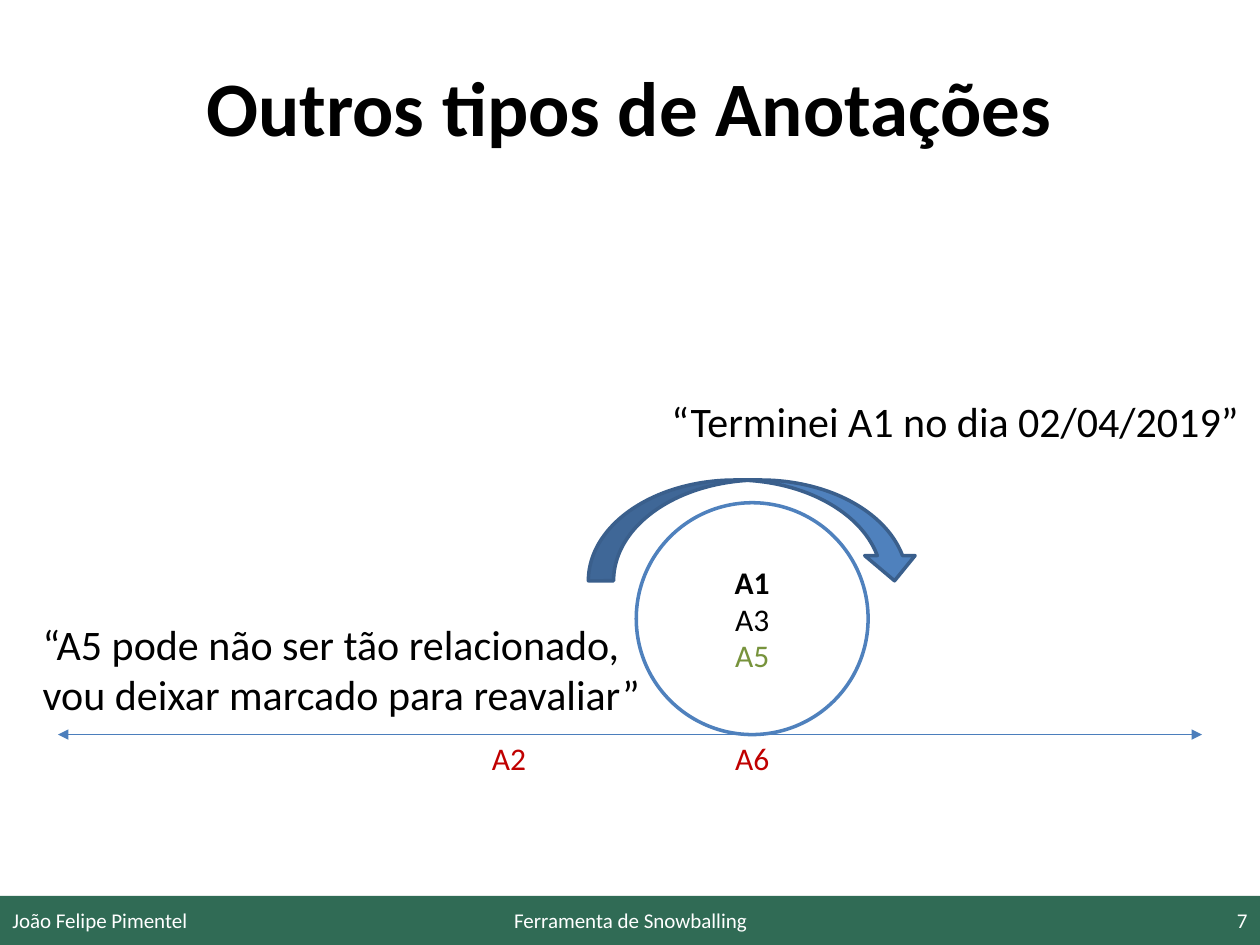
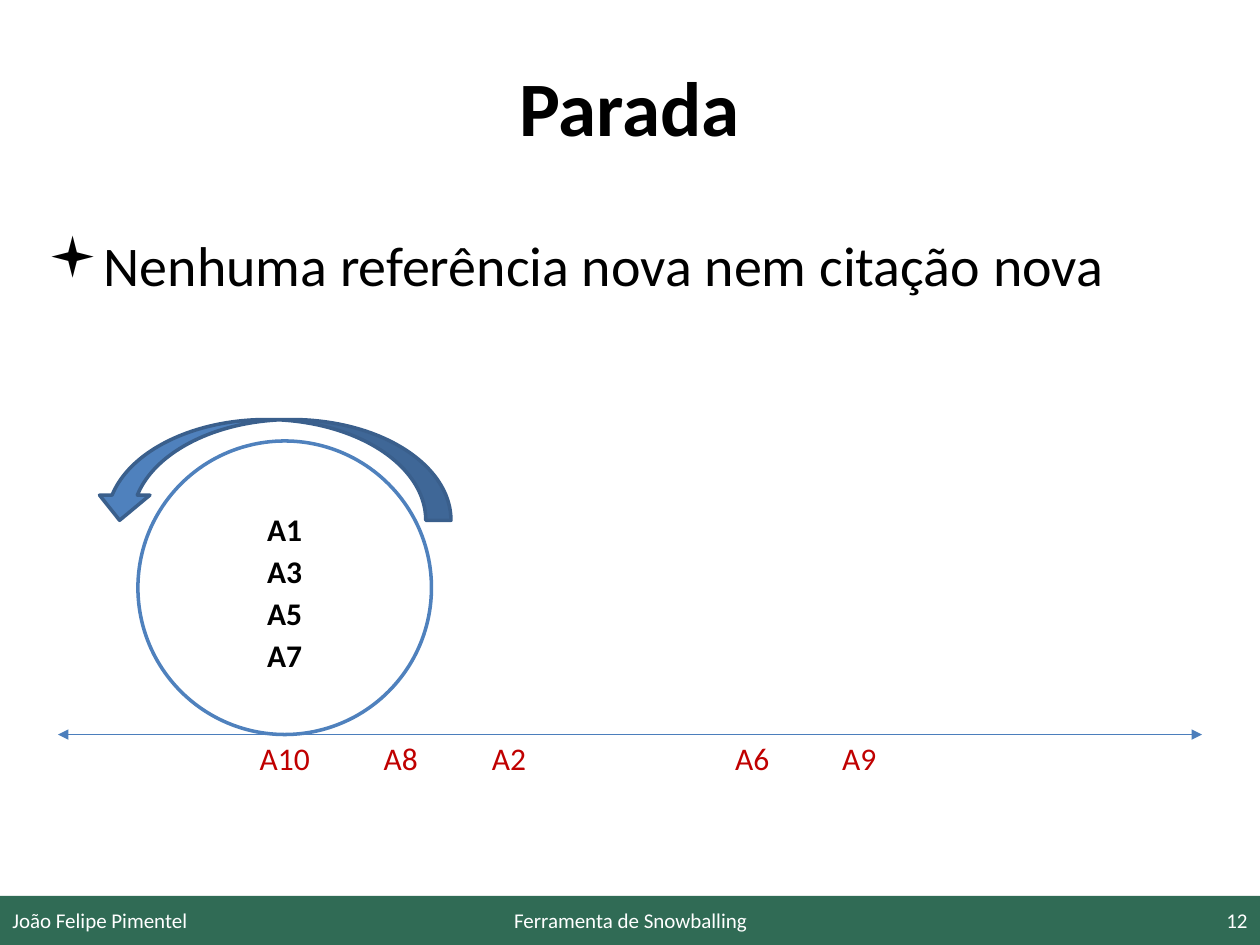
from lxml import etree
from pptx import Presentation
from pptx.dml.color import RGBColor
from pptx.enum.shapes import MSO_CONNECTOR, MSO_SHAPE
from pptx.enum.text import MSO_ANCHOR, PP_ALIGN
from pptx.oxml.ns import qn
from pptx.util import Inches, Pt

LEFT, CENTER, RIGHT = PP_ALIGN.LEFT, PP_ALIGN.CENTER, PP_ALIGN.RIGHT
TOP, MIDDLE = MSO_ANCHOR.TOP, MSO_ANCHOR.MIDDLE
STRAIGHT = MSO_CONNECTOR.STRAIGHT
RECTANGLE, OVAL = MSO_SHAPE.RECTANGLE, MSO_SHAPE.OVAL
CURVED_ARROW = MSO_SHAPE.CURVED_DOWN_ARROW

BLACK, WHITE = "000000", "FFFFFF"
GREEN_BAND, GREEN_TEXT, RED = "306B55", "77933C", "C00000"
BLUE, DARK_BLUE, AXIS_BLUE = "4F81BD", "3A5F8C", "4B7EBC"
FONT = "Calibri"
AXIS_Y = 5.83
LABEL_WIDTH, LABEL_HEIGHT = 0.6, 0.4


def color(value):
    """Turn a hex string into a colour."""
    return RGBColor.from_string(value)


def write(shape, text, size=18, fill=BLACK, bold=False, align=LEFT, anchor=TOP,
          wrap=True, bullet=None):
    """Write text into a shape, one paragraph per line."""
    frame = shape.text_frame
    frame.text = text
    frame.word_wrap = wrap
    frame.vertical_anchor = anchor
    for paragraph in frame.paragraphs:
        paragraph.alignment = align
        if bullet:
            properties = paragraph._p.get_or_add_pPr()
            properties.set("marL", str(Inches(0.38)))
            properties.set("indent", str(Inches(-0.38)))
            etree.SubElement(properties, qn("a:buFont"), typeface="Wingdings")
            etree.SubElement(properties, qn("a:buChar"), char=bullet)
        for run in paragraph.runs:
            run.font.name = FONT
            run.font.size = Pt(size)
            run.font.bold = bold
            run.font.color.rgb = color(fill)


class Deck:
    """Shared style and the slide being built."""

    def __init__(self):
        """Start an empty presentation."""
        self.presentation = Presentation()
        self.presentation.slide_width = Inches(10)
        self.presentation.slide_height = Inches(7.5)
        self.slide = None

    def add_slide(self, title, number):
        """Add a slide with its title, footer and timeline."""
        self.slide = self.presentation.slides.add_slide(self.presentation.slide_layouts[6])
        self.shape(RECTANGLE, 0, 7.11, 10, 0.39, GREEN_BAND)
        self.text(title, 1, 0.21, 7.99, 1.25, size=44, bold=True, align=CENTER, anchor=MIDDLE)
        footers = (
            ("João Felipe Pimentel", 0, 2.33, LEFT),
            ("Ferramenta de Snowballing", 3.42, 3.17, CENTER),
            (str(number), 7.67, 2.33, RIGHT),
        )
        for text, left, width, align in footers:
            self.text(text, left, 7.1, width, 0.4, size=12, fill=WHITE, align=align,
                      anchor=MIDDLE)
        self.timeline()

    def shape(self, kind, left, top, width, height, fill, line=None):
        """Add a filled preset shape."""
        shape = self.slide.shapes.add_shape(
            kind, Inches(left), Inches(top), Inches(width), Inches(height))
        shape.shadow.inherit = False
        shape.fill.solid()
        shape.fill.fore_color.rgb = color(fill)
        if line:
            shape.line.color.rgb = color(line)
            shape.line.width = Pt(2)
        else:
            shape.line.fill.background()
        return shape

    def text(self, text, left, top, width, height, **style):
        """Add a text box."""
        box = self.slide.shapes.add_textbox(
            Inches(left), Inches(top), Inches(width), Inches(height))
        write(box, text, **style)

    def label(self, text, center, top, **style):
        """Add an article label centred on a position."""
        self.text(text, center - LABEL_WIDTH / 2, top, LABEL_WIDTH, LABEL_HEIGHT,
                  align=CENTER, **style)

    def axis_labels(self, centers):
        """Add the red article labels under the timeline."""
        for text, center in centers.items():
            self.label(text, center, 5.82, fill=RED)

    def timeline(self):
        """Add the horizontal line with an arrowhead at each end."""
        connector = self.slide.shapes.add_connector(
            STRAIGHT, Inches(0.46), Inches(AXIS_Y), Inches(9.54), Inches(AXIS_Y))
        connector.line.color.rgb = color(AXIS_BLUE)
        connector.line.width = Pt(0.75)
        line = connector.line._get_or_add_ln()
        for end in ("a:headEnd", "a:tailEnd"):
            etree.SubElement(line, qn(end), type="triangle")
        etree.SubElement(connector._element.spPr, qn("a:effectLst"))

    def circle(self, center, diameter):
        """Add a circle standing on the timeline."""
        return self.shape(OVAL, center - diameter / 2, AXIS_Y - diameter,
                          diameter, diameter, WHITE, BLUE)

    def curved_arrow(self, left, top, width, flipped=False):
        """Add a curved arrow over a circle."""
        arrow = self.shape(CURVED_ARROW, left, top, width, 0.8, BLUE, DARK_BLUE)
        if flipped:
            arrow._element.spPr.xfrm.set("flipH", "1")


def build_annotations(deck):
    """Build the slide on other kinds of annotations."""
    center = 5.97
    deck.add_slide("Outros tipos de Anotações", 7)
    circle = deck.circle(center, 1.84)
    write(circle, "A3", align=CENTER, anchor=MIDDLE)
    deck.label("A5", center, 5, fill=GREEN_TEXT)
    deck.label("A1", center, 4.42, bold=True)
    deck.curved_arrow(4.67, 3.81, 2.63)
    deck.axis_labels({"A2": 4.04, "A6": center})
    deck.text("“Terminei A1 no dia 02/04/2019”", 5.23, 3.09, 4.74, 0.5, size=24, wrap=False)
    deck.text("“A5 pode não ser tão relacionado,\nvou deixar marcado para reavaliar”",
              0.24, 4.86, 4.99, 0.91, size=24, wrap=False)


def build_stop(deck):
    """Build the slide on the stopping condition."""
    center = 2.26
    deck.add_slide("Parada", 12)
    deck.text("Nenhuma referência nova nem citação nova", 0.28, 1.78, 9.45, 5.04,
              size=32, bullet="▪")
    deck.circle(center, 2.33)
    for row, article in enumerate(("A1", "A3", "A5", "A7")):
        deck.label(article, center, 4 + row / 3, bold=True)
    deck.curved_arrow(0.75, 3.33, 2.83, flipped=True)
    deck.axis_labels({"A10": center, "A8": 3.18, "A2": 4.04, "A6": 5.97, "A9": 6.82})


def main():
    """Build and save the presentation."""
    deck = Deck()
    build_annotations(deck)
    build_stop(deck)
    deck.presentation.save("out.pptx")


if __name__ == "__main__":
    main()
